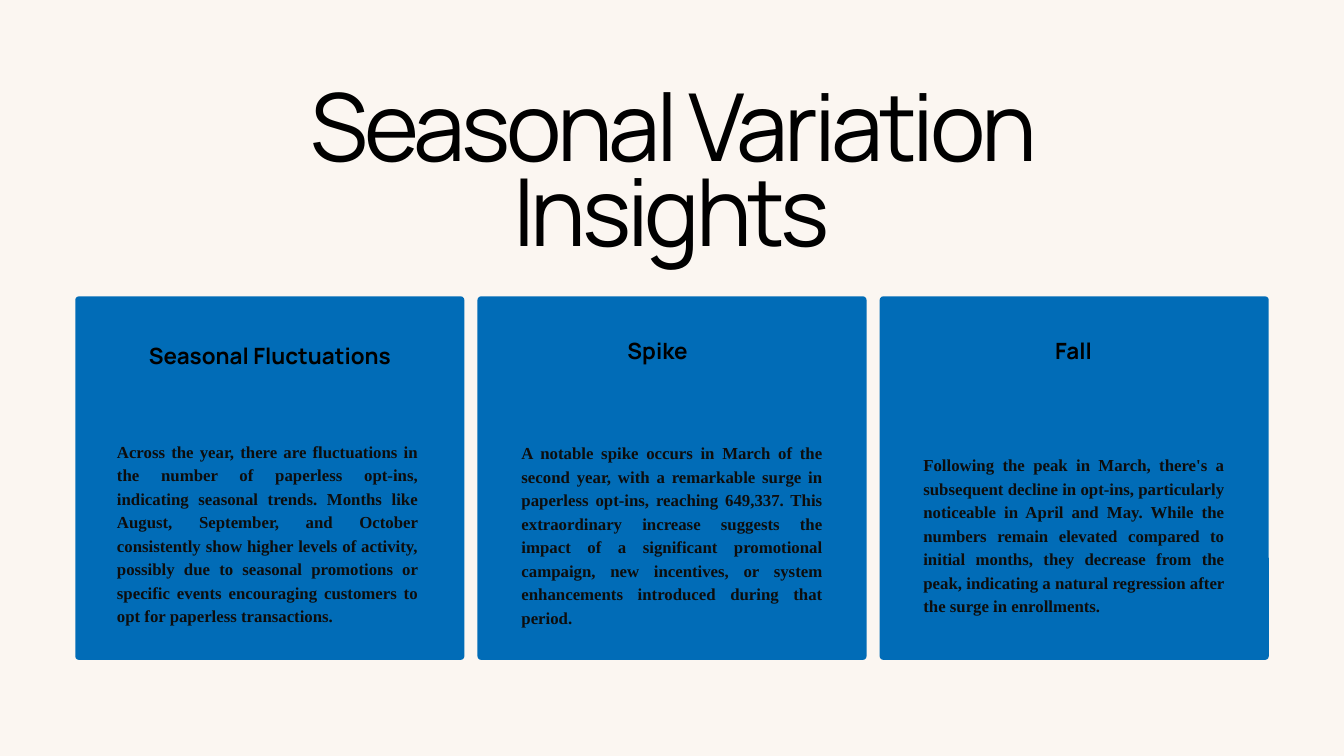
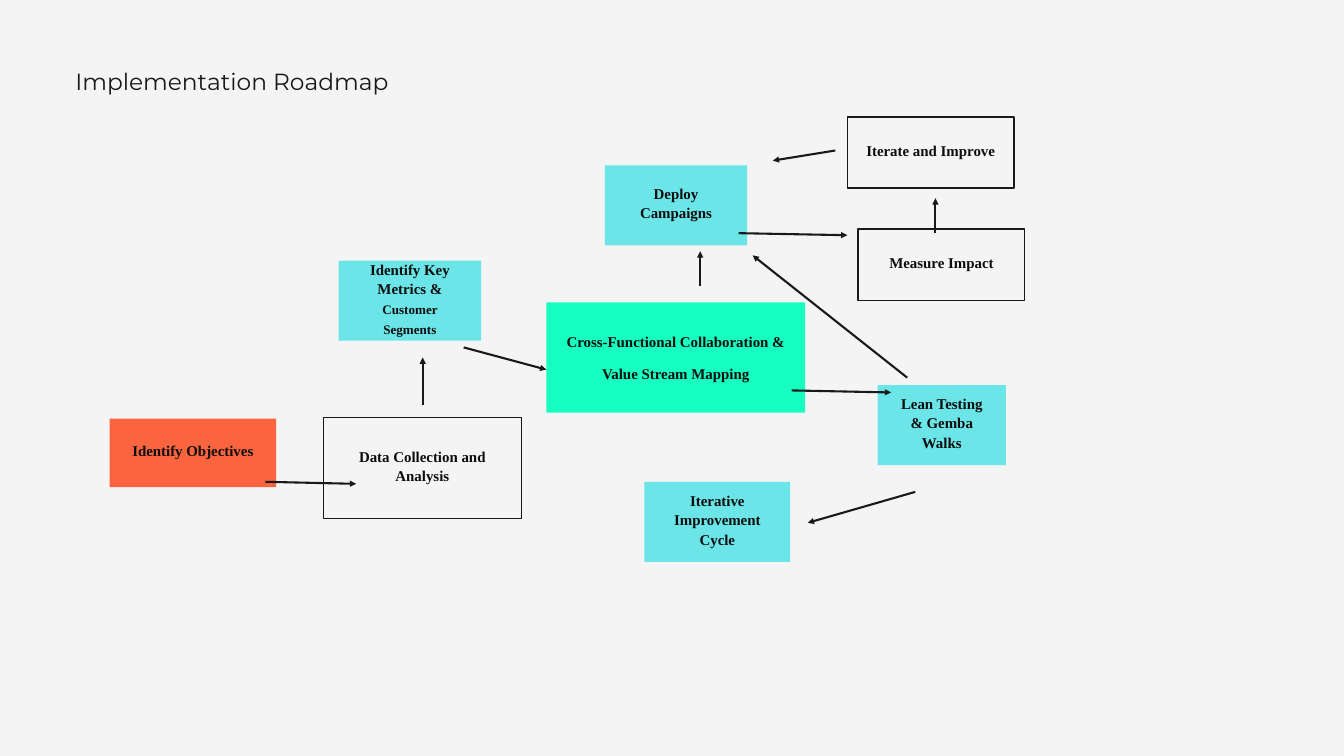
from lxml.etree import SubElement
from pptx import Presentation
from pptx.dml.color import RGBColor
from pptx.enum.shapes import MSO_CONNECTOR, MSO_SHAPE
from pptx.enum.text import MSO_ANCHOR, MSO_AUTO_SIZE, PP_ALIGN
from pptx.oxml.ns import qn
from pptx.util import Inches, Pt

WIDTH, HEIGHT = Inches(20), Inches(11.25)
COLS, ROWS = 20, 11.25

CREAM = RGBColor(0xFB, 0xF6, 0xF1)
PALE = RGBColor(0xF4, 0xF4, 0xF4)
BLACK = RGBColor(0x00, 0x00, 0x00)
INK = RGBColor(0x0D, 0x0D, 0x0D)
DARK = RGBColor(0x19, 0x19, 0x19)
BLUE = RGBColor(0x01, 0x6C, 0xB7)
CYAN = RGBColor(0x6C, 0xE5, 0xE8)
GREEN = RGBColor(0x17, 0xFF, 0xC0)
CORAL = RGBColor(0xFA, 0x64, 0x3F)

MARGIN = 1.12
CARD_WIDTH, CARD_TOP, CARD_HEIGHT = 5.79, 4.41, 5.41
PITCH = (COLS - 2 * MARGIN - CARD_WIDTH) / 2
PAD = 0.28

CARDS = [
    ("Seasonal Fluctuations", 1.56, 4.89, 1.74, 6.52,
     "Across the year, there are fluctuations in the number of paperless opt-ins, "
     "indicating seasonal trends. Months like August, September, and October "
     "consistently show higher levels of activity, possibly due to seasonal "
     "promotions or specific events encouraging customers to opt for paperless "
     "transactions."),
    ("Spike", 7.33, 4.81, 7.76, 6.54,
     "A notable spike occurs in March of the second year, with a remarkable surge "
     "in paperless opt-ins, reaching 649,337. This extraordinary increase suggests "
     "the impact of a significant promotional campaign, new incentives, or system "
     "enhancements introduced during that period."),
    ("Fall", 13.52, 4.81, 13.74, 6.72,
     "Following the peak in March, there's a subsequent decline in opt-ins, "
     "particularly noticeable in April and May. While the numbers remain elevated "
     "compared to initial months, they decrease from the peak, indicating a natural "
     "regression after the surge in enrollments."),
]

STEPS = [
    ("Deploy Campaigns", 9, 2.46, 2.12, 1.19, CYAN),
    ("Iterative Improvement Cycle", 9.59, 7.17, 2.17, 1.19, CYAN),
    ("Lean Testing & Gemba Walks", 13.06, 5.73, 1.91, 1.19, CYAN),
    ("Iterate and Improve", 12.61, 1.74, 2.48, 1.06, None),
    ("Measure Impact", 12.77, 3.41, 2.48, 1.06, None),
    ("Data Collection and Analysis", 4.81, 6.21, 2.95, 1.51, None),
    ("Identify Objectives", 1.63, 6.23, 2.48, 1.02, CORAL),
]

ARROWS = [
    (3.95, 7.17, 5.3, 7.2),
    (6.29, 6.03, 6.29, 5.32),
    (6.9, 5.17, 8.13, 5.5),
    (10.42, 4.26, 10.42, 3.74),
    (11.78, 5.81, 13.26, 5.84),
    (13.62, 7.32, 12.02, 7.78),
    (13.5, 5.62, 11.2, 3.8),
    (10.99, 3.47, 12.61, 3.5),
    (13.92, 3.47, 13.92, 2.95),
    (12.43, 2.24, 11.5, 2.39),
]


class Deck:
    serif = "Times New Roman"
    round = "Manrope"
    sans = "Montserrat"

    def __init__(self):
        self.show = Presentation()
        self.show.slide_width, self.show.slide_height = WIDTH, HEIGHT
        self.slide = None

    def page(self, color):
        self.slide = self.show.slides.add_slide(self.show.slide_layouts[6])
        fill = self.slide.background.fill
        fill.solid()
        fill.fore_color.rgb = color

    def grid(self, *spans):
        return [round(span * (HEIGHT / ROWS if i % 2 else WIDTH / COLS))
                for i, span in enumerate(spans)]

    def style(self, run, font, size, color, bold):
        run.font.name, run.font.size, run.font.bold = font, Pt(size), bold
        run.font.color.rgb = color

    def words(self, frame, text, font, size, color, space, align, bold=True):
        frame.word_wrap = True
        frame.text = text
        line = frame.paragraphs[0]
        line.alignment, line.line_spacing = align, space
        self.style(line.runs[0], font, size, color, bold)
        return line

    def label(self, spot, text, font, size, color, space, align, bold=True):
        frame = self.slide.shapes.add_textbox(*self.grid(*spot)).text_frame
        frame.margin_left = frame.margin_right = 0
        frame.margin_top = frame.margin_bottom = 0
        line = self.words(frame, text, font, size, color, space, align, bold)
        frame.auto_size = MSO_AUTO_SIZE.SHAPE_TO_FIT_TEXT
        return line

    def block(self, kind, spot, color):
        shape = self.slide.shapes.add_shape(kind, *self.grid(*spot))
        shape.shadow.inherit = False
        shape.fill.solid()
        shape.fill.fore_color.rgb = color
        shape.line.fill.background()
        return shape

    def card(self, left):
        spot = (left, CARD_TOP, CARD_WIDTH, CARD_HEIGHT)
        shape = self.block(MSO_SHAPE.ROUNDED_RECTANGLE, spot, BLUE)
        shape.adjustments[0] = 0.01

    def step(self, text, left, top, width, height, color, lift=0.09, space=21):
        spot = (left, top, width, height)
        shape = self.block(MSO_SHAPE.RECTANGLE, spot, color or PALE)
        if color is None:
            shape.line.color.rgb, shape.line.width = DARK, Pt(1.5)
        frame = shape.text_frame
        frame.margin_left = frame.margin_right = frame.margin_bottom = Inches(PAD)
        frame.margin_top = Inches(PAD - lift)
        frame.vertical_anchor = MSO_ANCHOR.MIDDLE
        return self.words(frame, text, self.serif, 16, INK, Pt(space), PP_ALIGN.CENTER)

    def arrow(self, *ends):
        link = self.slide.shapes.add_connector(MSO_CONNECTOR.STRAIGHT, *self.grid(*ends))
        link.line.color.rgb, link.line.width = DARK, Pt(2.25)
        props = link._element.spPr
        SubElement(props.find(qn("a:ln")), qn("a:tailEnd"), type="triangle")
        SubElement(props, qn("a:effectLst"))


def trends(deck):
    deck.page(CREAM)
    title = deck.label((2.42, 1.43, 15.15, 2.55), "Seasonal Variation Insights",
                       deck.round, 100.4, BLACK, Pt(90.4), PP_ALIGN.CENTER, False)
    title.runs[0]._r.get_or_add_rPr().set("spc", "-460")
    for i, (head, head_x, head_y, left, top, text) in enumerate(CARDS):
        deck.card(MARGIN + i * PITCH)
        deck.label((head_x, head_y, 4.91, 0.53), head,
                   deck.round, 24, BLACK, 1.5, PP_ALIGN.CENTER)
        deck.label((left, top, 4.48, 2.78), text,
                   deck.serif, 18, INK, Pt(25.2), PP_ALIGN.JUSTIFY)


def roadmap(deck):
    deck.page(PALE)
    deck.label((MARGIN, 0.9, 6.41, 0.46), "Implementation Roadmap",
               deck.sans, 25, DARK, Pt(37.5), PP_ALIGN.LEFT, False)
    deck.step("Cross-Functional Collaboration & Value Stream Mapping",
              8.13, 4.5, 3.85, 1.64, GREEN, lift=0.22, space=35)
    for step in STEPS:
        deck.step(*step)
    line = deck.step("Identify Key Metrics & ", 5.04, 3.88, 2.12, 1.19, CYAN)
    run = line.add_run()
    run.text = "Customer Segments"
    deck.style(run, deck.serif, 14, INK, True)
    for ends in ARROWS:
        deck.arrow(*ends)


def main():
    deck = Deck()
    trends(deck)
    roadmap(deck)
    deck.show.save("out.pptx")


if __name__ == "__main__":
    main()
